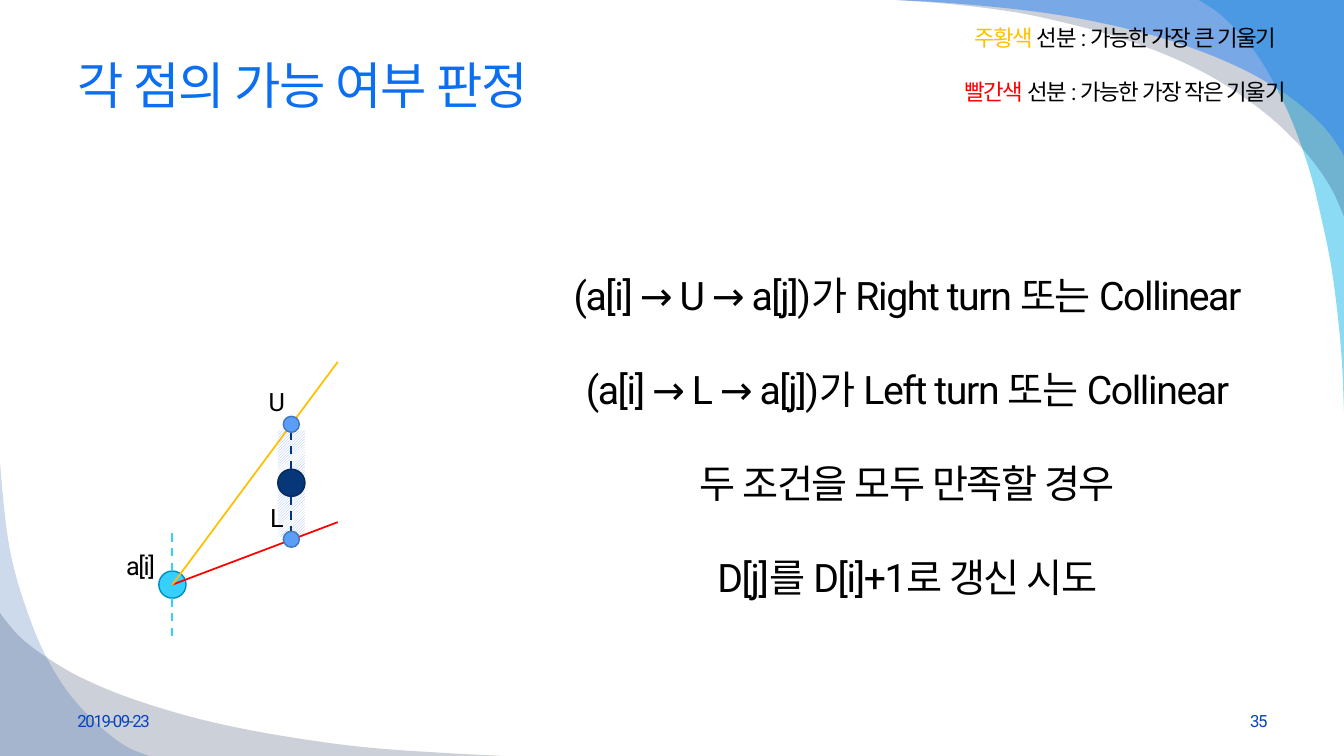
from lxml.etree import SubElement
from pptx import Presentation
from pptx.dml.color import RGBColor
from pptx.enum.dml import MSO_LINE, MSO_PATTERN
from pptx.enum.shapes import MSO_CONNECTOR, MSO_SHAPE
from pptx.enum.text import MSO_ANCHOR, MSO_AUTO_SIZE, PP_ALIGN
from pptx.oxml.ns import qn
from pptx.util import Inches, Pt

WHITE = RGBColor(0xFF, 0xFF, 0xFF)
BLACK = RGBColor(0, 0, 0)
TITLE = RGBColor(0x0C, 0x6F, 0xF2)
FOOT = RGBColor(0x07, 0x43, 0xBC)
AMBER = RGBColor(0xFF, 0xC0, 0)
RED = RGBColor(0xFF, 0, 0)
SKY = RGBColor(0, 0xB1, 0xE9)
INK = RGBColor(0x02, 0x17, 0x41)
BLUE = RGBColor(0x24, 0x7F, 0xF4)
DEEP = RGBColor(0x08, 0x4A, 0xA1)
HATCH = RGBColor(0x9A, 0xBA, 0xFB)
CYAN = RGBColor(0x37, 0xCF, 0xFF)
TEAL = RGBColor(0, 0x8D, 0xBB)
NAVY = RGBColor(0x06, 0x38, 0x79)
NIGHT = RGBColor(0x04, 0x29, 0x5A)
STEM = RGBColor(0x03, 0x36, 0x79)
DOT = RGBColor(0x5B, 0x9E, 0xF7)
RIM = RGBColor(0x43, 0x75, 0xB7)

WAVES = [
    (SKY, 45, [(13.33, 0)], [
        (11.89, 0), (12.1, 0.14), (12.31, 0.35), (12.5, 0.59), (12.69, 0.93),
        (12.85, 1.29), (13, 1.73), (13.1, 2.14), (13.2, 2.62), (13.27, 3.15),
        (13.31, 3.6), (13.33, 4.08)]),
    (INK, 20, [(13.33, 0)], [
        (8.89, 0), (9.42, 0.04), (10.06, 0.12), (10.62, 0.24), (11.12, 0.38),
        (11.65, 0.58), (12.1, 0.81), (12.52, 1.1), (12.83, 1.38),
        (13.06, 1.65), (13.22, 1.9), (13.33, 2.15)]),
    (BLUE, 49, [(13.33, 0)], [
        (8.89, 0), (9.42, 0.03), (10.06, 0.09), (10.63, 0.17), (11.24, 0.3),
        (11.75, 0.45), (12.25, 0.65), (12.64, 0.86), (12.92, 1.06),
        (13.14, 1.27), (13.28, 1.46), (13.33, 1.55)]),
    (INK, 20, [(0, 7.5)], [
        (5, 7.5), (4.41, 7.47), (3.69, 7.42), (3.05, 7.34), (2.36, 7.22),
        (1.78, 7.08), (1.22, 6.9), (0.78, 6.71), (0.46, 6.52), (0.21, 6.33),
        (0.06, 6.16), (0, 6.08)]),
    (DEEP, 20, [(0, 7.5)], [
        (1.48, 7.5), (1.26, 7.41), (1.04, 7.25), (0.82, 7.04), (0.62, 6.79),
        (0.43, 6.46), (0.29, 6.12), (0.16, 5.72), (0.08, 5.35), (0.03, 4.93),
        (0, 4.58)]),
]


def smooth(pts, steps=5):
    ends = [pts[0], *pts, pts[-1]]
    out = []
    for a, b, c, d in zip(ends, ends[1:], ends[2:], ends[3:]):
        for k in range(steps):
            t = k / steps
            out.append(tuple(
                q + t * (r - p) / 2 + t * t * (2 * p - 5 * q + 4 * r - s) / 2
                + t ** 3 * (3 * q - p - 3 * r + s) / 2
                for p, q, r, s in zip(a, b, c, d)))
    return out + [pts[-1]]


def place(item, x, y, w, h):
    spots = {"left": x, "top": y, "width": w, "height": h}
    for key, val in spots.items():
        setattr(item, key, Inches(val))


def write(item, lines, size, align=PP_ALIGN.LEFT, gap=1, wrap=True,
          fit=MSO_AUTO_SIZE.NONE):
    frame = item.text_frame
    look = {"word_wrap": wrap, "auto_size": fit,
            "vertical_anchor": MSO_ANCHOR.MIDDLE}
    for key, val in look.items():
        setattr(frame, key, val)
    for i, parts in enumerate(lines):
        para = frame.add_paragraph() if i else frame.paragraphs[0]
        form = {"alignment": align, "line_spacing": gap, "space_before": Pt(0)}
        for key, val in form.items():
            setattr(para, key, val)
        for text, color in parts:
            run = para.add_run()
            run.text = text
            for key, val in {"name": "Roboto", "size": Pt(size)}.items():
                setattr(run.font, key, val)
            run.font.color.rgb = color
            props = run.font._element
            props.set("spc", "-100")
            SubElement(props, qn("a:ea")).set("typeface", "Roboto")


def label(slide, box, lines, size, **form):
    item = slide.shapes.add_textbox(*map(Inches, box))
    write(item, lines, size, **form)


def waves(slide, layout):
    for color, alpha, corner, curve in WAVES:
        pts = [(Inches(x), Inches(y)) for x, y in corner + smooth(curve)]
        build = slide.shapes.build_freeform(*pts[0])
        build.add_line_segments(pts[1:], close=True)
        wave = build.convert_to_shape()
        wave.shadow.inherit = False
        wave.line.fill.background()
        wave.fill.solid()
        wave.fill.fore_color.rgb = color
        tint = wave.element.spPr.find(".//" + qn("a:srgbClr"))
        SubElement(tint, qn("a:alpha")).set("val", str(alpha * 1000))
        layout.element.cSld.spTree.append(wave.element)


def segment(shapes, x1, y1, x2, y2, color, width, dash=None):
    line = shapes.add_connector(
        MSO_CONNECTOR.STRAIGHT, *map(Inches, (x1, y1, x2, y2)))
    line.line.color.rgb = color
    for key, val in {"width": Pt(width), "dash_style": dash}.items():
        setattr(line.line, key, val)
    SubElement(line.element.spPr, qn("a:effectLst"))


def circle(shapes, x, y, r, fill, rim):
    disc = shapes.add_shape(
        MSO_SHAPE.OVAL, *map(Inches, (x - r, y - r, 2 * r, 2 * r)))
    disc.shadow.inherit = False
    disc.fill.solid()
    disc.fill.fore_color.rgb = fill
    disc.line.color.rgb = rim
    disc.line.width = Pt(1)


def node(slide, x, y, fill, rim, stem):
    shapes = slide.shapes.add_group_shape().shapes
    r = 0.135
    circle(shapes, x, y, r, fill, rim)
    for side in (-1, 1):
        segment(shapes, x, y + side * r, x, y + side * (r + 0.41),
                stem, 1.5, MSO_LINE.DASH)


def diagram(slide, x, y, w, h):
    shapes = slide.shapes
    start, col, low = x + 0.56, x + 1.74, y + 2.21
    band = shapes.add_shape(
        MSO_SHAPE.RECTANGLE,
        *map(Inches, (col - 0.135, y + 0.68, 0.27, 1.06)))
    band.shadow.inherit = False
    band.line.fill.background()
    band.fill.patterned()
    band.fill.pattern = MSO_PATTERN.LIGHT_UPWARD_DIAGONAL
    band.fill.fore_color.rgb = HATCH
    band.fill.back_color.rgb = WHITE
    node(slide, start, low, CYAN, TEAL, CYAN)
    for end, color in ((1.59, RED), (0, AMBER)):
        segment(shapes, start, low, x + w, y + end, color, 1.25)
    node(slide, col, y + 1.2, NAVY, NIGHT, STEM)
    for dy in (0.62, 1.76):
        circle(shapes, col, y + dy, 0.08, DOT, RIM)
    for text, dx, dy, wide in (("U", 1.4, 0.19, 0.39), ("L", 1.4, 1.34, 0.39),
                               ("a[i]", 0, 1.82, 0.49)):
        label(slide, (x + dx, y + dy, wide, 0.4), [[(text, BLACK)]], 18,
              align=PP_ALIGN.CENTER, wrap=False,
              fit=MSO_AUTO_SIZE.SHAPE_TO_FIT_TEXT)


def heading(slide, *box):
    place(slide.shapes.title, *box)
    write(slide.shapes.title, [[("각 점의 가능 여부 판정", TITLE)]], 36)


def rules(slide, *box):
    body = slide.placeholders[1]
    place(body, *box)
    lines = ["(a[i] → U → a[j])가 Right turn 또는 Collinear",
             "(a[i] → L → a[j])가 Left turn 또는 Collinear",
             "두 조건을 모두 만족할 경우",
             "D[j]를 D[i]+1로 갱신 시도"]
    write(body, [[(line, BLACK)] for line in lines], 28,
          align=PP_ALIGN.CENTER, gap=2)
    for para in body.text_frame.paragraphs:
        props = para._p.get_or_add_pPr()
        for key in ("marL", "indent"):
            props.set(key, "0")
        SubElement(props, qn("a:buNone"))


def legend(slide, *box):
    rows = (("주황색", AMBER, "큰"), ("빨간색", RED, "작은"))
    lines = [[(name, color), (f" 선분 : 가능한 가장 {size} 기울기", BLACK)]
             for name, color, size in rows]
    label(slide, box, lines, 16, align=PP_ALIGN.CENTER, gap=2)


def footer(slide, x, y, w, h):
    wide = 3.11
    label(slide, (x, y, wide, h), [[("2019-09-23", FOOT)]], 12)
    label(slide, (x + w - wide, y, wide, h), [[("35", FOOT)]], 12,
          align=PP_ALIGN.RIGHT)


def main():
    deck = Presentation()
    deck.slide_width, deck.slide_height = Inches(13.33), Inches(7.5)
    layout = deck.slide_layouts[1]
    slide = deck.slides.add_slide(layout)
    waves(slide, layout)
    heading(slide, 0.67, 0.33, 12, 1.01)
    footer(slide, 0.67, 6.95, 12, 0.4)
    rules(slide, 5.33, 1.48, 7.34, 5.22)
    diagram(slide, 1.15, 3.59, 2.2, 2.75)
    legend(slide, 8.98, 0, 4.36, 1.01)
    deck.save("out.pptx")


if __name__ == "__main__":
    main()
